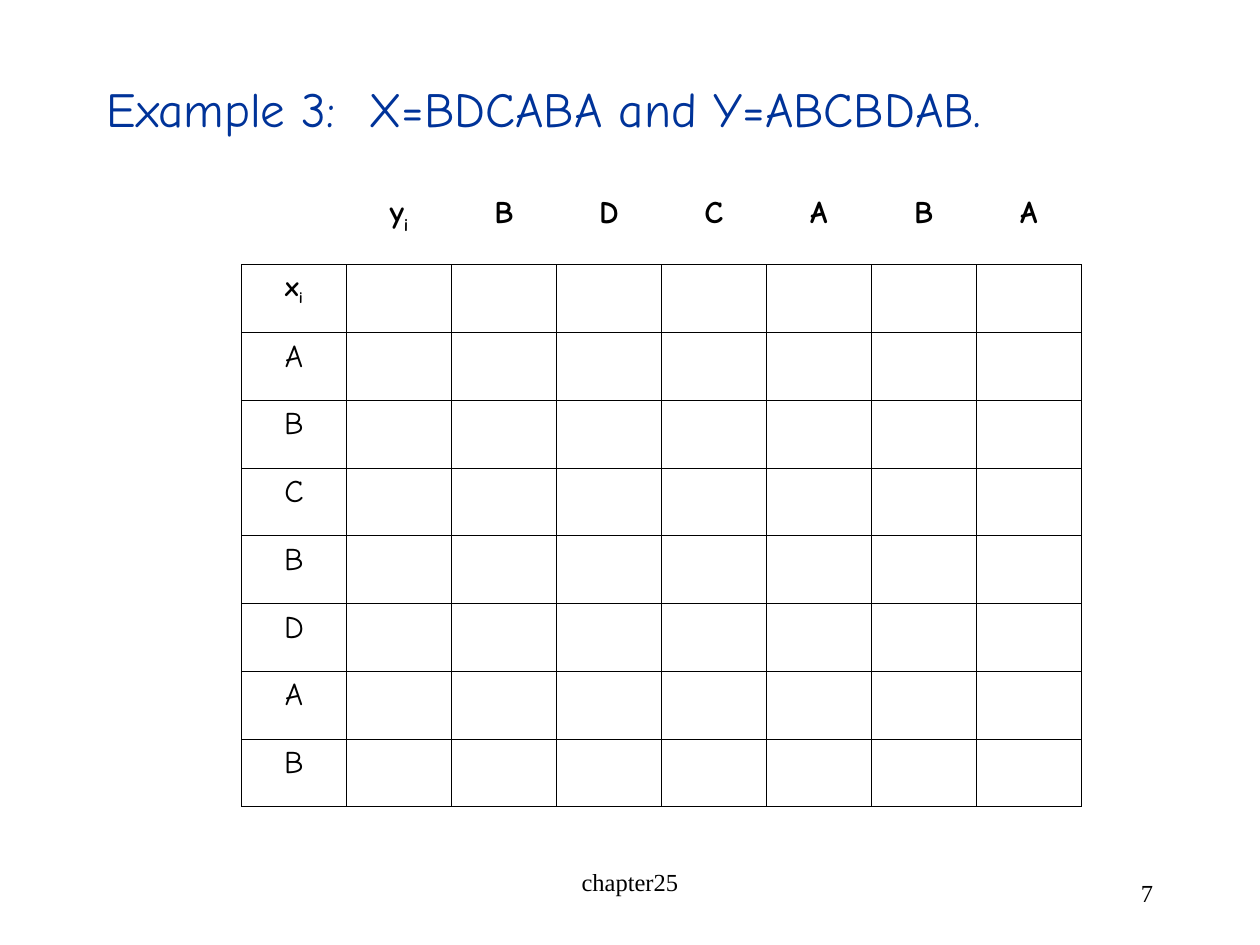
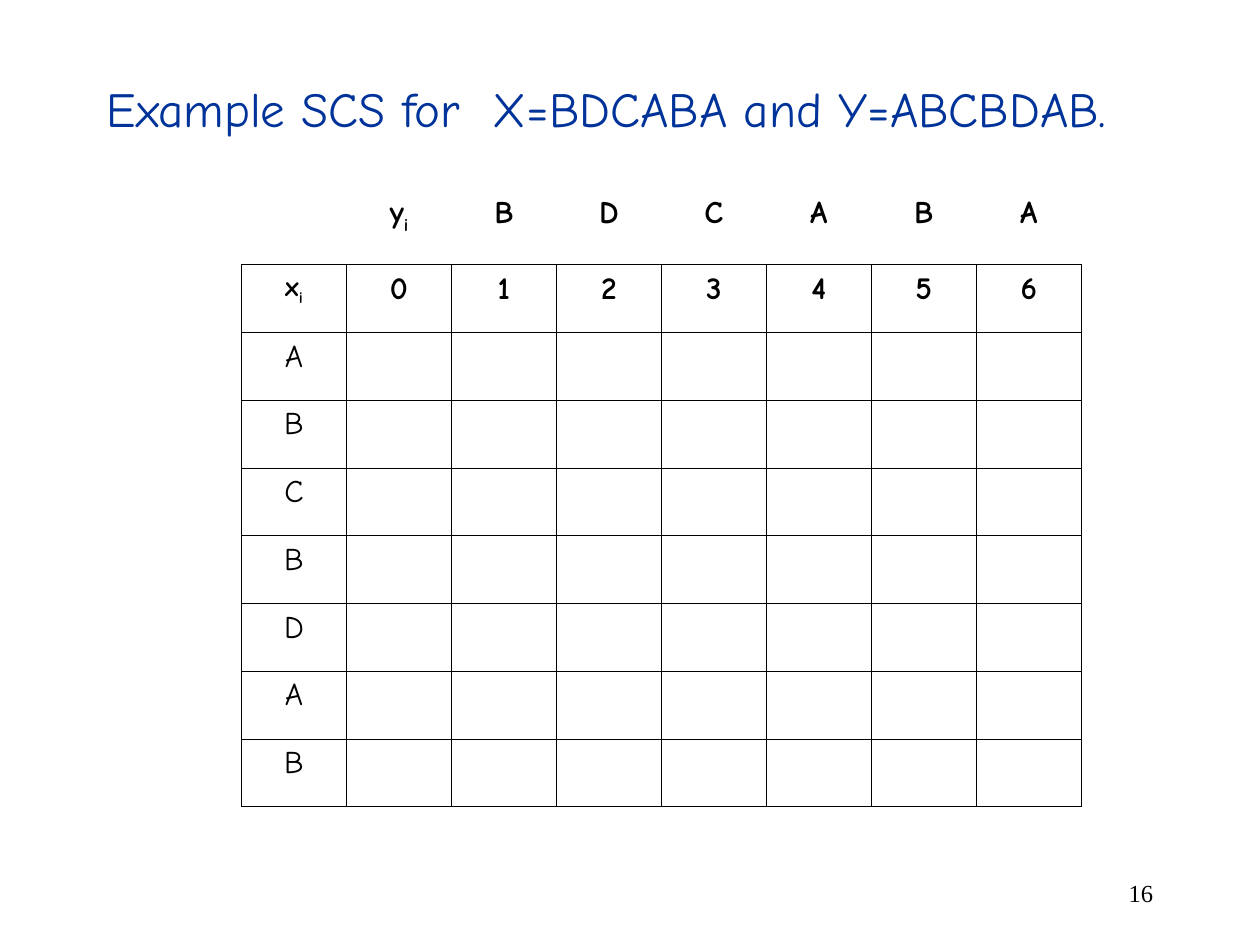
from dataclasses import dataclass
from typing import NamedTuple

from lxml.etree import SubElement
from pptx import Presentation
from pptx.dml.color import RGBColor
from pptx.enum.text import MSO_ANCHOR, PP_ALIGN
from pptx.oxml.ns import qn
from pptx.slide import Slide
from pptx.table import Table, _Cell
from pptx.text.text import _Paragraph, _Run
from pptx.util import Inches, Pt

SLIDE_WIDTH, SLIDE_HEIGHT = Inches(10), Inches(7.5)
GRID_COLUMN, GRID_ROW = SLIDE_WIDTH / 12, SLIDE_HEIGHT / 18


@dataclass(frozen=True)
class Theme:
    """Colours, fonts and type sizes of the deck."""

    paper: RGBColor = RGBColor(0xFF, 0xFF, 0xFF)
    ink: RGBColor = RGBColor(0x00, 0x00, 0x00)
    heading: RGBColor = RGBColor(0x00, 0x33, 0x99)
    hand_font: str = "Comic Neue"
    footer_font: str = "Times New Roman"
    heading_size: Pt = Pt(28)
    heading_leading: Pt = Pt(26)
    heading_hang: Inches = Inches(0.38)
    letter_size: Pt = Pt(18)
    row_label_size: Pt = Pt(16)
    footer_size: Pt = Pt(14)
    rule: Pt = Pt(0.45)


THEME = Theme()


class Area(NamedTuple):
    """A rectangle in grid columns and rows."""

    left: float
    top: float
    width: float
    height: float

    def lengths(self) -> tuple[int, int, int, int]:
        """Return the rectangle as slide lengths."""
        return (round(self.left * GRID_COLUMN), round(self.top * GRID_ROW),
                round(self.width * GRID_COLUMN), round(self.height * GRID_ROW))


HEADING_AREA = Area(0.9, 1.63, 10.2, 1.78)
Y_AREA = Area(2.3, 3.6, 8, 1)
MATRIX_AREA = Area(2.3, 5.04, 8, 10.33)
FOOTER_AREA = Area(4.1, 16.4, 3.8, 1.2)
NUMBER_AREA = Area(8.6, 16.4, 2.5, 1.2)


@dataclass(frozen=True)
class Example:
    """One subsequence exercise slide."""

    heading: str
    number: int
    first_row: tuple[str, ...] = ()
    footer: str = ""


X_WORD, Y_WORD = "BDCABA", "ABCBDAB"
EXAMPLES = (
    Example(f"Example 3:  X={X_WORD} and Y={Y_WORD}.", 7, footer="chapter25"),
    Example(f"Example SCS for  X={X_WORD} and Y={Y_WORD}.", 16,
            first_row=tuple(str(step) for step in range(len(X_WORD) + 1))),
)


def style_run(run: _Run, font: str, size: Pt, color: RGBColor, bold: bool = False) -> None:
    """Give a run its font, size, colour and weight."""
    run.font.name, run.font.size, run.font.bold = font, size, bold
    run.font.color.rgb = color


def add_line(slide: Slide, area: Area, words: str, font: str, size: Pt, color: RGBColor,
             align: PP_ALIGN, anchor: MSO_ANCHOR = MSO_ANCHOR.TOP) -> _Paragraph:
    """Add a one-paragraph text box and return its paragraph."""
    frame = slide.shapes.add_textbox(*area.lengths()).text_frame
    frame.word_wrap = True
    frame.vertical_anchor = anchor
    frame.text = words
    paragraph = frame.paragraphs[0]
    paragraph.alignment = align
    style_run(paragraph.runs[0], font, size, color)
    return paragraph


def add_heading(slide: Slide, words: str) -> None:
    """Add the heading with its hanging indent and fixed leading."""
    paragraph = add_line(slide, HEADING_AREA, words, THEME.hand_font,
                         THEME.heading_size, THEME.heading, PP_ALIGN.LEFT)
    paragraph.line_spacing = THEME.heading_leading
    properties = paragraph._p.get_or_add_pPr()
    properties.set("marL", str(THEME.heading_hang))
    properties.set("indent", str(-THEME.heading_hang))


def finish_cell(cell: _Cell, ruled: bool) -> None:
    """Set the borders and fill of a cell."""
    properties = cell._tc.get_or_add_tcPr()
    for side in ("a:lnL", "a:lnR", "a:lnT", "a:lnB"):
        border = SubElement(properties, qn(side), w=str(THEME.rule if ruled else 0))
        if ruled:
            paint = SubElement(border, qn("a:solidFill"))
            SubElement(paint, qn("a:srgbClr"), val=str(THEME.ink))
        else:
            SubElement(border, qn("a:noFill"))
    cell.fill.solid()
    cell.fill.fore_color.rgb = THEME.paper


def add_grid(slide: Slide, area: Area, rows: int, columns: int, ruled: bool) -> Table:
    """Add an empty table of equal cells."""
    table = slide.shapes.add_table(rows, columns, *area.lengths()).table
    table.first_row = table.horz_banding = False
    for cell in table.iter_cells():
        finish_cell(cell, ruled)
    return table


def write_cell(cell: _Cell, letter: str, size: Pt = THEME.letter_size,
               bold: bool = True, subscript: str = "") -> None:
    """Write a centred letter with an optional subscript."""
    paragraph = cell.text_frame.paragraphs[0]
    paragraph.text = letter
    paragraph.alignment = PP_ALIGN.CENTER
    if subscript:
        index = paragraph.add_run()
        index.text = subscript
        index._r.get_or_add_rPr().set("baseline", "-25000")
    for run in paragraph.runs:
        style_run(run, THEME.hand_font, size, THEME.ink, bold)


def add_matrix(slide: Slide, first_row: tuple[str, ...]) -> None:
    """Add the ruled matrix and the row of letters above it."""
    columns = len(X_WORD) + 2
    matrix = add_grid(slide, MATRIX_AREA, len(Y_WORD) + 1, columns, ruled=True)
    write_cell(matrix.cell(0, 0), "x", THEME.row_label_size, subscript="i")
    for column, step in enumerate(first_row, start=1):
        write_cell(matrix.cell(0, column), step)
    for row, letter in enumerate(Y_WORD, start=1):
        write_cell(matrix.cell(row, 0), letter, bold=False)

    y_letters = add_grid(slide, Y_AREA, 1, columns, ruled=False)
    write_cell(y_letters.cell(0, 1), "y", subscript="i")
    for column, letter in enumerate(X_WORD, start=2):
        write_cell(y_letters.cell(0, column), letter)


def add_footer(slide: Slide, words: str, number: int) -> None:
    """Add the chapter name, if any, and the slide number."""
    style = (THEME.footer_font, THEME.footer_size, THEME.ink)
    if words:
        add_line(slide, FOOTER_AREA, words, *style, PP_ALIGN.CENTER)
    add_line(slide, NUMBER_AREA, str(number), *style, PP_ALIGN.RIGHT, MSO_ANCHOR.MIDDLE)


def main() -> None:
    """Build and save the deck."""
    deck = Presentation()
    deck.slide_width, deck.slide_height = SLIDE_WIDTH, SLIDE_HEIGHT
    for example in EXAMPLES:
        slide = deck.slides.add_slide(deck.slide_layouts[6])
        slide.background.fill.solid()
        slide.background.fill.fore_color.rgb = THEME.paper
        add_footer(slide, example.footer, example.number)
        add_heading(slide, example.heading)
        add_matrix(slide, example.first_row)
    deck.save("out.pptx")


if __name__ == "__main__":
    main()
